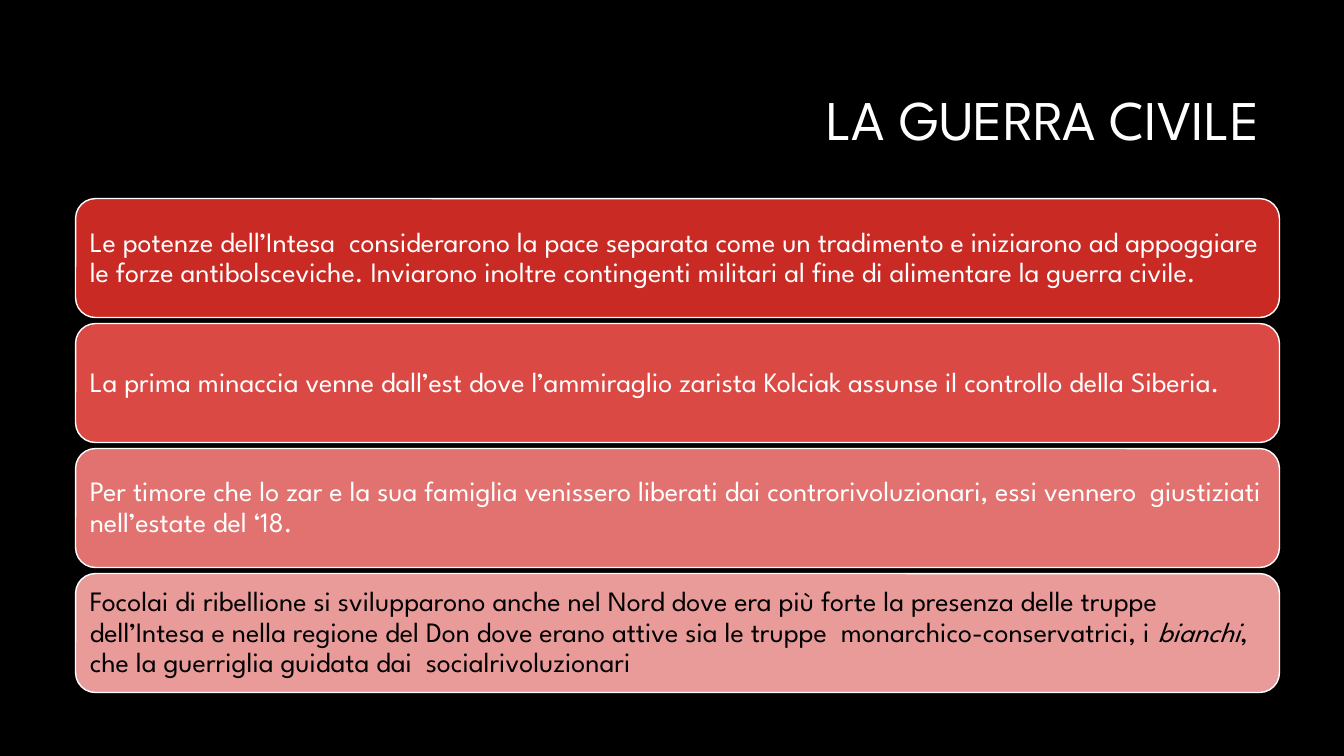
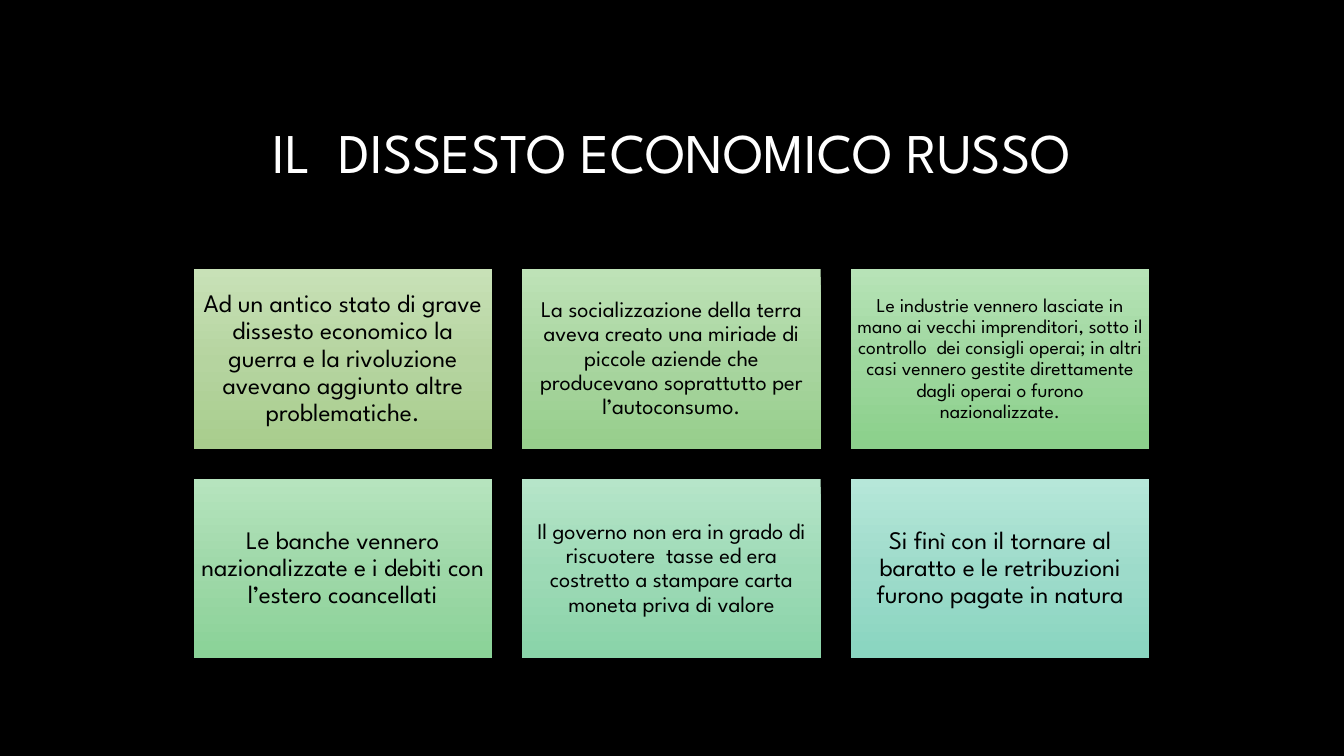
"""Build two slides on the Russian civil war and the economic collapse."""
from copy import deepcopy

from pptx import Presentation
from pptx import util as u
from pptx.dml.color import RGBColor
from pptx.enum import shapes, text
from pptx.oxml.ns import qn

FONT = "League Spartan"
BLACK, WHITE = "000000", "FFFFFF"
LEFT, CENTER, RIGHT = text.PP_ALIGN.LEFT, text.PP_ALIGN.CENTER, text.PP_ALIGN.RIGHT


def rgb(value):
    return RGBColor.from_string(value)


def write(shape, runs, size, color, align):
    frame = shape.text_frame
    frame.word_wrap = True
    frame.vertical_anchor = text.MSO_ANCHOR.MIDDLE
    paragraph = frame.paragraphs[0]
    paragraph.alignment = align
    paragraph.line_spacing = 0.9
    for words, italic in runs:
        run = paragraph.add_run()
        run.text = words
        run.font.name = FONT
        run.font.size = u.Pt(size)
        run.font.italic = italic
        run.font.color.rgb = rgb(color)
    return frame


prs = Presentation()
prs.slide_width, prs.slide_height = u.Inches(13.33), u.Inches(7.5)

titles = [
    ("LA GUERRA CIVILE", (3.17, 0.84, 9.42, 0.75), RIGHT),
    ("IL  DISSESTO ECONOMICO RUSSO", (0.75, 0.84, 11.83, 1.41), CENTER),
]
bands = [
    ("CA2A24", WHITE, [("Le potenze dell’Intesa  considerarono la pace separata come un tradimento e "
                        "iniziarono ad appoggiare le forze antibolsceviche. Inviarono inoltre contingenti "
                        "militari al fine di alimentare la guerra civile.", False)]),
    ("DB4945", WHITE, [("La prima minaccia venne dall’est dove l’ammiraglio zarista Kolciak assunse il "
                        "controllo della Siberia.", False)]),
    ("E27270", WHITE, [("Per timore che lo zar e la sua famiglia venissero liberati dai "
                        "controrivoluzionari, essi vennero  giustiziati nell’estate del ‘18.", False)]),
    ("E99B9A", BLACK, [("Focolai di ribellione si svilupparono anche nel Nord dove era più forte la "
                        "presenza delle truppe dell’Intesa e nella regione del Don dove erano attive sia "
                        "le truppe  monarchico-conservatrici, i", False),
                       (" bianchi", True),
                       (",  che la guerriglia guidata dai  socialrivoluzionari", False)]),
]
cards = [
    (18, ("C8E1B7", "B5D49F", "A8CD8D"), "Ad un antico stato di grave dissesto economico la guerra e la "
                                         "rivoluzione avevano aggiunto altre problematiche."),
    (16, ("BEE2B7", "A8D59F", "97CE8C"), "La socializzazione della terra aveva creato una miriade di "
                                         "piccole aziende che producevano soprattutto per l’autoconsumo."),
    (14, ("B7E3B7", "9ED79E", "8BD08B"), "Le industrie vennero lasciate in mano ai vecchi imprenditori, "
                                         "sotto il controllo  dei consigli operai; in altri casi vennero "
                                         "gestite direttamente dagli operai o furono nazionalizzate."),
    (18, ("B6E4BE", "9ED8A8", "8AD297"), "Le banche vennero nazionalizzate e i debiti con l’estero "
                                         "coancellati"),
    (16, ("B6E5C9", "9DDAB6", "89D3A8"), "Il governo non era in grado di riscuotere  tasse ed era "
                                         "costretto a stampare carta moneta priva di valore"),
    (18, ("B6E7D9", "9DDBCA", "89D5C0"), "Si finì con il tornare al baratto e le retribuzioni furono "
                                         "pagate in natura"),
]

slides = []
for title, place, align in titles:
    slide = prs.slides.add_slide(prs.slide_layouts[6])
    slide.background.fill.solid()
    slide.background.fill.fore_color.rgb = rgb(BLACK)
    heading = slide.shapes.add_textbox(*map(u.Inches, place))
    write(heading, [(title, False)], 40, WHITE, align)
    slides.append(slide)
war, economy = slides

panels = []
for row, (fill, color, runs) in enumerate(bands):
    band = war.shapes.add_shape(shapes.MSO_SHAPE.ROUNDED_RECTANGLE, u.Inches(0.75),
                                u.Inches(1.97 + 1.24 * row), u.Inches(11.94), u.Inches(1.18))
    band.fill.solid()
    band.fill.fore_color.rgb = rgb(fill)
    band.line.color.rgb = rgb(WHITE)
    band.line.width = u.Pt(1)
    panels.append((band, runs, 20, color, LEFT))

card_w, card_h, gap = 2.96, 1.78, 0.3
for index, (size, colors, words) in enumerate(cards):
    row, column = divmod(index, 3)
    card = economy.shapes.add_shape(shapes.MSO_SHAPE.RECTANGLE,
                                    u.Inches(1.92 + column * (card_w + gap)),
                                    u.Inches(2.67 + row * (card_h + gap)),
                                    u.Inches(card_w), u.Inches(card_h))
    card.fill.gradient()
    card.fill.gradient_angle = 270
    stop_list = card.fill.gradient_stops[0]._gs.getparent()
    first_stop = stop_list.find(qn("a:gs"))
    first_stop.addnext(deepcopy(first_stop))
    for stop, position, color in zip(card.fill.gradient_stops, (0, 0.52, 1), colors):
        stop.position = position
        stop.color.rgb = rgb(color)
    card.line.fill.background()
    panels.append((card, [(words, False)], size, BLACK, CENTER))

for panel, runs, size, color, align in panels:
    panel.shadow.inherit = False
    frame = write(panel, runs, size, color, align)
    inset = u.Pt(0.3 * size)
    frame.margin_left = frame.margin_right = frame.margin_top = frame.margin_bottom = inset

prs.save("out.pptx")
